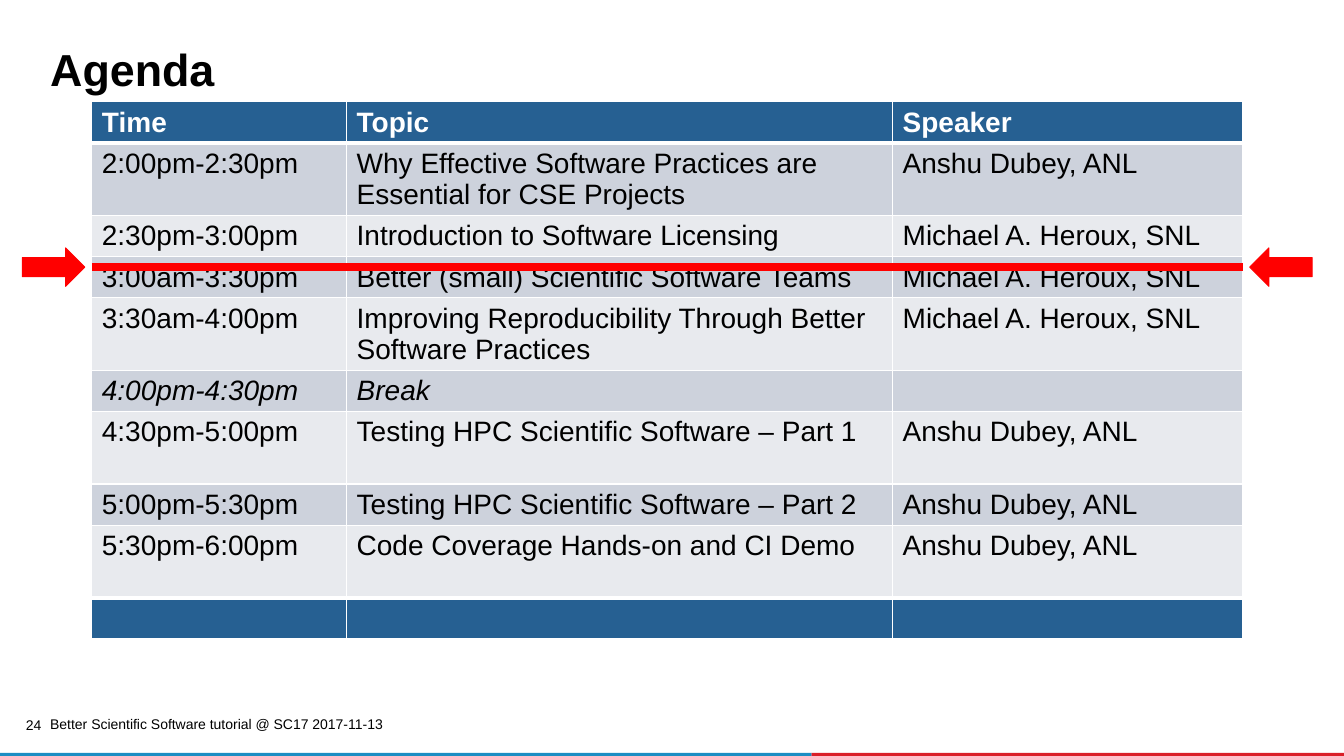
from lxml import etree
from pptx import Presentation
from pptx.dml.color import RGBColor
from pptx.enum.shapes import MSO_CONNECTOR, MSO_SHAPE
from pptx.enum.text import MSO_ANCHOR, PP_ALIGN
from pptx.oxml.ns import qn
from pptx.util import Pt

RECT, ARROW = MSO_SHAPE.RECTANGLE, MSO_SHAPE.RIGHT_ARROW
STRAIGHT = MSO_CONNECTOR.STRAIGHT
TOP, MIDDLE, BOTTOM = MSO_ANCHOR.TOP, MSO_ANCHOR.MIDDLE, MSO_ANCHOR.BOTTOM
LEFT, RIGHT = PP_ALIGN.LEFT, PP_ALIGN.RIGHT

# Content
TITLE = "Agenda"
FOOTER = "Better Scientific Software tutorial @ SC17 2017-11-13"
PAGE = "24"
DUBEY, HEROUX = "Anshu Dubey, ANL", "Michael A. Heroux, SNL"
AGENDA = [
    ("Time", "Topic", "Speaker"),
    ("2:00pm-2:30pm", "Why Effective Software Practices are Essential for CSE Projects", DUBEY),
    ("2:30pm-3:00pm", "Introduction to Software Licensing", HEROUX),
    ("3:00am-3:30pm", "Better (small) Scientific Software Teams", HEROUX),
    ("3:30am-4:00pm", "Improving Reproducibility Through Better Software Practices", HEROUX),
    ("4:00pm-4:30pm", "Break", ""),
    ("4:30pm-5:00pm", "Testing HPC Scientific Software – Part 1", DUBEY),
    ("5:00pm-5:30pm", "Testing HPC Scientific Software – Part 2", DUBEY),
    ("5:30pm-6:00pm", "Code Coverage Hands-on and CI Demo", DUBEY),
    ("", "", ""),
]
TALL_ROWS = {1, 4, 6, 8}
BREAK_ROW = 5

# Look and layout, in points
COLORS = {"black": "000000", "white": "FFFFFF", "header": "266092",
          "odd": "CDD2DC", "even": "E8EAEE", "marker": "FF0000",
          "bar_blue": "1B8DC3", "bar_red": "DA1F28"}
WIDTH, HEIGHT = 960, 540
COLS = (182, 390, 250)
ROW, TALL_ROW = 29.5, 51.75
TABLE_X, TABLE_Y = 65.6, 72.6
MARK_Y = 190.8
ARROW_W, ARROW_H, ARROW_GAP = 44.6, 27.4, 5
BAR_SPLIT, BAR_H = 579.6, 2.2


def rgb(name):
    return RGBColor.from_string(COLORS[name])


def add_run(p, text, color="black", **fmt):
    r = p.add_run()
    r.text = text
    for name, value in {"name": "Arial", **fmt}.items():
        setattr(r.font, name, value)
    r.font.color.rgb = rgb(color)


def add_text(s, box, text, anchor, spacing=1.0, align=LEFT, inset=None, **fmt):
    tf = s.shapes.add_textbox(*map(Pt, box)).text_frame
    settings = {"word_wrap": True, "vertical_anchor": anchor}
    if inset is not None:
        settings.update({f"margin_{side}": Pt(inset) for side in ("left", "top", "right", "bottom")})
    for name, value in settings.items():
        setattr(tf, name, value)
    p = tf.paragraphs[0]
    p.line_spacing, p.alignment = spacing, align
    add_run(p, text, **fmt)


def add_block(s, kind, box, color, outlined=False):
    sp = s.shapes.add_shape(kind, *map(Pt, box))
    sp.shadow.inherit = False
    sp.fill.solid()
    sp.fill.fore_color.rgb = rgb(color)
    if outlined:
        sp.line.color.rgb = rgb(color)
        sp.line.width = Pt(0.75)
    else:
        sp.line.fill.background()
    return sp


def set_borders(cell, widths):
    tc_pr = cell._tc.get_or_add_tcPr()
    for i, (side, width) in enumerate(widths.items()):
        ln = etree.Element(qn(f"a:ln{side}"), w=str(Pt(width)))
        fill = etree.SubElement(ln, qn("a:solidFill"))
        etree.SubElement(fill, qn("a:srgbClr"), val=COLORS["white"])
        tc_pr.insert(i, ln)


def add_agenda(s):
    last = len(AGENDA) - 1
    heights = [TALL_ROW if i in TALL_ROWS else ROW for i in range(len(AGENDA))]
    box = (TABLE_X, TABLE_Y, sum(COLS), sum(heights))
    table = s.shapes.add_table(len(AGENDA), len(COLS), *map(Pt, box)).table
    for col, width in zip(table.columns, COLS):
        col.width = Pt(width)
    for i, (row, height) in enumerate(zip(table.rows, heights)):
        row.height = Pt(height)
        band = "header" if i in (0, last) else "odd" if i % 2 else "even"
        borders = {"L": 1, "R": 1, "T": 3 if i in (1, last) else 1,
                   "B": 3 if i in (0, last - 1) else 1}
        for cell, text in zip(row.cells, AGENDA[i]):
            cell.margin_bottom = 0  # lets the row keep its set height
            cell.fill.solid()
            cell.fill.fore_color.rgb = rgb(band)
            set_borders(cell, borders)
            if text:
                add_run(cell.text_frame.paragraphs[0], text,
                        "black" if i else "white", size=Pt(20),
                        bold=i == 0, italic=i == BREAK_ROW)


def add_marker(s):
    right = TABLE_X + sum(COLS)
    line = s.shapes.add_connector(STRAIGHT, Pt(TABLE_X), Pt(MARK_Y), Pt(right), Pt(MARK_Y))
    line.line.color.rgb = rgb("marker")
    line.line.width = Pt(6)
    etree.SubElement(line._element.spPr, qn("a:effectLst"))
    for x, turn in ((TABLE_X - ARROW_GAP - ARROW_W, 0), (right + ARROW_GAP, 180)):
        box = (x, MARK_Y - ARROW_H / 2, ARROW_W, ARROW_H)
        add_block(s, ARROW, box, "marker", outlined=True).rotation = turn


def main():
    prs = Presentation()
    prs.slide_width, prs.slide_height = Pt(WIDTH), Pt(HEIGHT)
    s = prs.slides.add_slide(prs.slide_layouts[6])

    # Bottom bar and footer
    bar_y = HEIGHT - BAR_H
    add_block(s, RECT, (BAR_SPLIT, bar_y, WIDTH - BAR_SPLIT, BAR_H), "bar_red")
    add_block(s, RECT, (0, bar_y, BAR_SPLIT, BAR_H), "bar_blue")
    add_text(s, (28.8, 510, 261.4, 14.4), FOOTER, MIDDLE, size=Pt(10))
    add_text(s, (13, 513.2, 16.6, 12.2), PAGE, TOP, 0.9, RIGHT, 0, size=Pt(10))

    # Agenda, title and the marker for the current point
    add_agenda(s)
    add_text(s, (28.8, 31.7, 895.7, 40.3), TITLE, BOTTOM, 0.85, size=Pt(32), bold=True)
    add_marker(s)

    prs.save("out.pptx")


if __name__ == "__main__":
    main()
